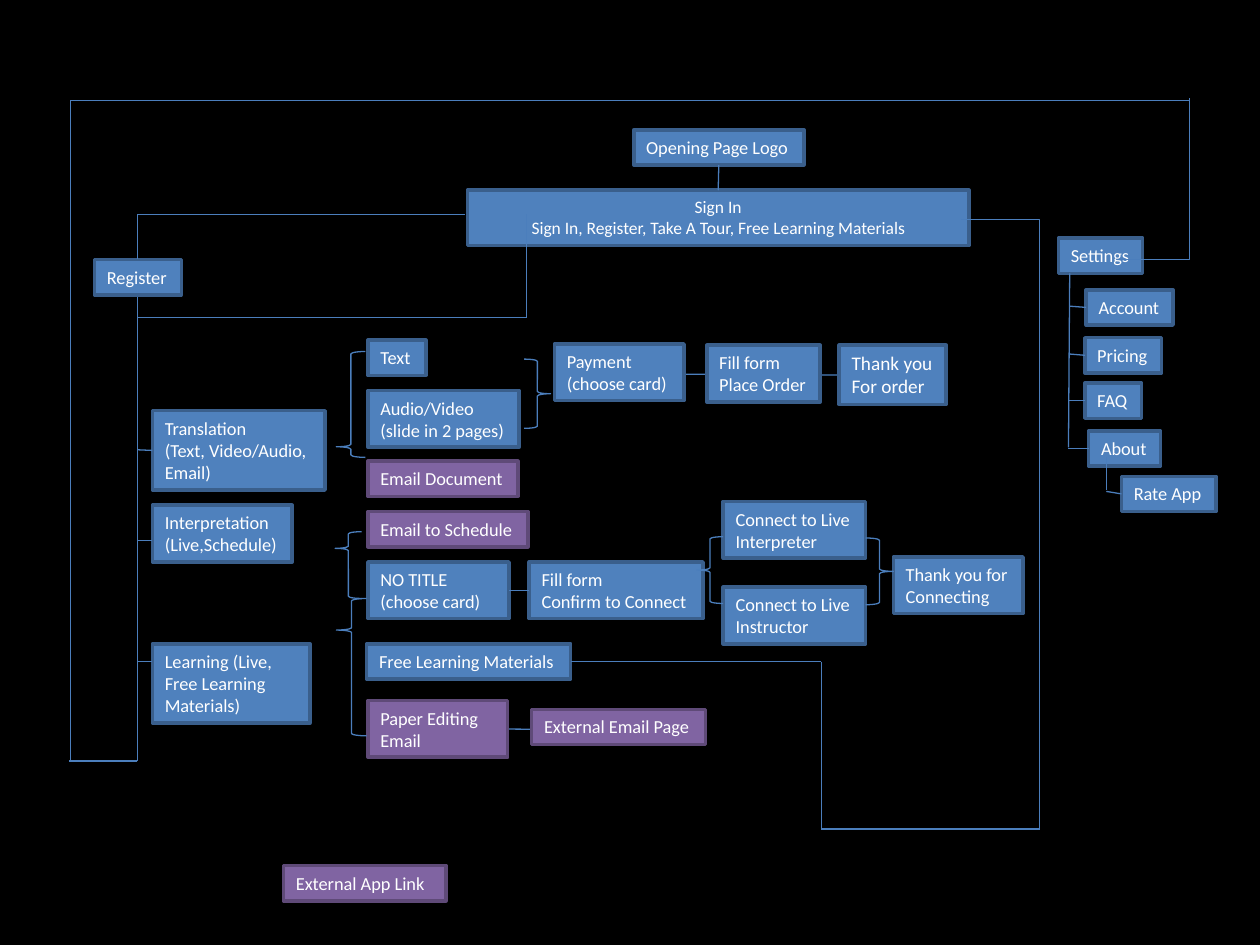
"""Builds the page map of an interpreting and translation app."""
from dataclasses import dataclass
from typing import Any, Optional

from lxml.etree import SubElement
from pptx import Presentation
from pptx.dml.color import RGBColor
from pptx.enum.shapes import MSO_CONNECTOR as Connector, MSO_SHAPE as Preset
from pptx.enum.text import MSO_ANCHOR as Anchor, MSO_AUTO_SIZE as AutoSize, PP_ALIGN as Align
from pptx.oxml.ns import qn
from pptx.util import Inches, Pt

COLUMNS, ROWS = 100, 75
WIDTH, HEIGHT = Inches(10), Inches(7.5)
ONE_LINE, TWO_LINES, THREE_LINES = 2.8, 4.5, 6.3
BLUE, PURPLE = ("4F81BD", "3A5F8C"), ("8064A2", "5F4A78")
LINE_COLOUR = "4B7EBC"
TOP, LEFT, BOTTOM, RIGHT = range(4)

Point = tuple[float, float]


@dataclass(frozen=True)
class Box:
    text: str
    column: float
    row: float
    columns: float
    rows: float = ONE_LINE
    colours: tuple[str, str] = BLUE
    wrap: bool = False
    size: float = 10.5
    align: Align = Align.LEFT


@dataclass(frozen=True)
class Brace:
    column: float
    row: float
    columns: float
    rows: float
    tip: float = 0.5
    preset: Preset = Preset.LEFT_BRACE


@dataclass(frozen=True)
class Link:
    start: Point
    end: Point
    start_box: Optional[tuple[str, int]] = None
    end_box: Optional[tuple[str, int]] = None


BOXES = [
    Box("Opening Page Logo", 50.3, 10.3, 13.5),
    Box("Sign In\nSign In, Register, Take A Tour, Free Learning Materials",
        37.1, 15.1, 39.8, 4.4, wrap=True, size=10, align=Align.CENTER),
    Box("Register", 7.5, 20.6, 6.9),
    Box("Translation\n(Text, Video/Audio,\nEmail)", 12.1, 32.6, 13.7, THREE_LINES),
    Box("Interpretation\n(Live,Schedule)", 12.1, 40.1, 11.1, TWO_LINES),
    Box("Learning (Live,\nFree Learning Materials)", 12.1, 51.1, 12.5, THREE_LINES, wrap=True),
    Box("Text", 29.2, 27, 4.6),
    Box("Audio/Video\n(slide in 2 pages)", 29.2, 31, 12, TWO_LINES),
    Box("Email Document", 29.2, 36.6, 11.9, colours=PURPLE),
    Box("Email to Schedule", 29.2, 40.6, 12.7, colours=PURPLE),
    Box("NO TITLE (choose card)", 29.2, 44.6, 11.2, TWO_LINES, wrap=True),
    Box("Free Learning Materials", 29.1, 51.1, 16.2),
    Box("Paper Editing Email", 29.2, 55.6, 11.1, TWO_LINES, PURPLE, wrap=True),
    Box("External Email Page", 42.2, 56.3, 13.8, colours=PURPLE),
    Box("Payment (choose card)", 44, 27.3, 10.3, TWO_LINES, wrap=True),
    Box("Fill form\nPlace Order", 56.1, 27.4, 9, TWO_LINES),
    Box("Thank you\nFor order", 66.6, 27.4, 8.5, 4.7, size=11),
    Box("Fill form\nConfirm to Connect", 42, 44.6, 13.8, TWO_LINES, wrap=True),
    Box("Connect to Live Interpreter", 57.4, 39.8, 11.3, TWO_LINES, wrap=True),
    Box("Connect to Live Instructor", 57.4, 46.6, 11.3, TWO_LINES, wrap=True),
    Box("Thank you for Connecting", 70.9, 44.2, 10.3, TWO_LINES, wrap=True),
    Box("Settings", 84, 18.9, 6.7),
    Box("Account", 86.2, 23, 6.9),
    Box("Pricing", 86.1, 26.8, 6.1),
    Box("FAQ", 86.1, 30.4, 4.5),
    Box("About", 86.4, 34.2, 5.7),
    Box("Rate App", 89, 37.8, 7.5),
    Box("External App Link", 22.5, 68.7, 12.9, colours=PURPLE, wrap=True),
]

BRACES = [
    Brace(26.7, 27.9, 2.3, 8.4, 0.9),
    Brace(26.6, 42.2, 2.1, 5.3, 0.25),
    Brace(26.7, 47.5, 2.4, 10.9, 0.23),
    Brace(41.6, 28.5, 2.1, 5.5, preset=Preset.RIGHT_BRACE),
    Brace(55.3, 42.6, 2.1, 5.3),
    Brace(68.7, 42.7, 2.2, 5.3, preset=Preset.RIGHT_BRACE),
]

LINKS_BEHIND = [
    Link((31.4, 57.8), (45.5, 57.9)),
    Link((54.1, 29.7), (72.9, 29.8)),
]

LINKS = [
    Link((57.1, 13.1), (57, 15.1), (BOXES[0].text, BOTTOM), (BOXES[1].text, TOP)),
    Link((10.9, 23.6), (10.9, 25.6)),
    Link((10.9, 60.4), (10.9, 25.2)),
    Link((10.9, 35.7), (12.1, 35.7), end_box=(BOXES[3].text, LEFT)),
    Link((10.9, 42.9), (12.1, 42.9)),
    Link((10.9, 52.5), (12.1, 52.5)),
    Link((35.2, 53.1), (31.8, 53.1)),
    Link((84.9, 24.3), (86.1, 24.3), end_box=("Account", LEFT)),
    Link((84.9, 28.1), (86.1, 28.1), end_box=("Pricing", LEFT)),
    Link((84.8, 31.8), (86, 31.8), end_box=("FAQ", LEFT)),
    Link((84.8, 35.6), (86.4, 35.6), end_box=("About", LEFT)),
    Link((84.8, 35.5), (84.9, 21.7)),
    Link((87.8, 39), (89, 39), end_box=("Rate App", LEFT)),
    Link((87.8, 38.9), (87.8, 36.3)),
    Link((41.8, 17), (41.8, 25.2)),
    Link((10.9, 25.2), (41.8, 25.2)),
    Link((10.9, 60.4), (5.5, 60.4)),
    Link((40.3, 46.9), (42, 46.8), ("NO TITLE (choose card)", RIGHT),
         ("Fill form\nConfirm to Connect", LEFT)),
    Link((82.5, 65.8), (65.2, 65.8)),
    Link((65.2, 65.8), (65.2, 52.5)),
    Link((65.2, 52.5), (45.3, 52.6), end_box=("Free Learning Materials", RIGHT)),
]

ROUTES: list[list[Point]] = [
    [(36.9, 17), (10.9, 17), (10.9, 20.6)],
    [(94.4, 8), (5.6, 8), (5.6, 60.4)],
    [(94.4, 7.8), (94.4, 20.6), (88.7, 20.6)],
    [(76.3, 17.4), (82.5, 17.4), (82.5, 65.8)],
]


def colour(value: str) -> RGBColor:
    """Turn a hex string into a colour."""
    return RGBColor.from_string(value)


def at(column: float, row: float) -> tuple[int, int]:
    """Turn grid columns and rows into lengths."""
    return round(WIDTH * column / COLUMNS), round(HEIGHT * row / ROWS)


def apply(target: Any, formats: dict[str, Any]) -> None:
    """Set each format value on the target."""
    for name, value in formats.items():
        setattr(target, name, value)


def outline(shape: Any, value: str = LINE_COLOUR, points: float = 0.75) -> None:
    """Give the shape a plain line."""
    shape.line.color.rgb = colour(value)
    shape.line.width = Pt(points)


def draw_box(slide: Any, box: Box) -> Any:
    """Draw one page of the app as a labelled rectangle."""
    shape = slide.shapes.add_shape(
        Preset.RECTANGLE, *at(box.column, box.row), *at(box.columns, box.rows))
    shape.shadow.inherit = False
    fill, edge = box.colours
    shape.fill.solid()
    shape.fill.fore_color.rgb = colour(fill)
    outline(shape, edge, 2)
    frame = shape.text_frame
    frame.text = box.text
    apply(frame, {"word_wrap": box.wrap, "auto_size": AutoSize.SHAPE_TO_FIT_TEXT,
                  "vertical_anchor": Anchor.TOP})
    for paragraph in frame.paragraphs:
        paragraph.alignment = box.align
        for run in paragraph.runs:
            apply(run.font, {"name": "Calibri", "size": Pt(box.size)})
            run.font.color.rgb = colour("FFFFFF")
    return shape


def draw_brace(slide: Any, brace: Brace) -> None:
    """Draw a brace that gathers pages."""
    shape = slide.shapes.add_shape(
        brace.preset, *at(brace.column, brace.row), *at(brace.columns, brace.rows))
    shape.shadow.inherit = False
    shape.fill.background()
    shape.adjustments[1] = brace.tip
    outline(shape)


def draw_link(slide: Any, link: Link, boxes: dict[str, Any]) -> None:
    """Draw a straight connector and join its ends to boxes."""
    connector = slide.shapes.add_connector(Connector.STRAIGHT, *at(*link.start), *at(*link.end))
    SubElement(connector._element.spPr, qn("a:effectLst"))
    outline(connector)
    for join, target in ((connector.begin_connect, link.start_box),
                         (connector.end_connect, link.end_box)):
        if target:
            join(boxes[target[0]], target[1])


def draw_route(slide: Any, points: list[Point]) -> None:
    """Draw an open line with corners."""
    builder = slide.shapes.build_freeform(*at(*points[0]))
    builder.add_line_segments([at(*point) for point in points[1:]], close=False)
    shape = builder.convert_to_shape()
    shape.shadow.inherit = False
    shape.fill.background()
    outline(shape)


def main() -> None:
    """Build and save the presentation."""
    presentation = Presentation()
    apply(presentation, {"slide_width": WIDTH, "slide_height": HEIGHT})
    slide = presentation.slides.add_slide(presentation.slide_layouts[6])
    slide.background.fill.solid()
    slide.background.fill.fore_color.rgb = colour("000000")
    for link in LINKS_BEHIND:
        draw_link(slide, link, {})
    boxes = {box.text: draw_box(slide, box) for box in BOXES}
    for brace in BRACES:
        draw_brace(slide, brace)
    for link in LINKS:
        draw_link(slide, link, boxes)
    for points in ROUTES:
        draw_route(slide, points)
    presentation.save("out.pptx")


if __name__ == "__main__":
    main()
